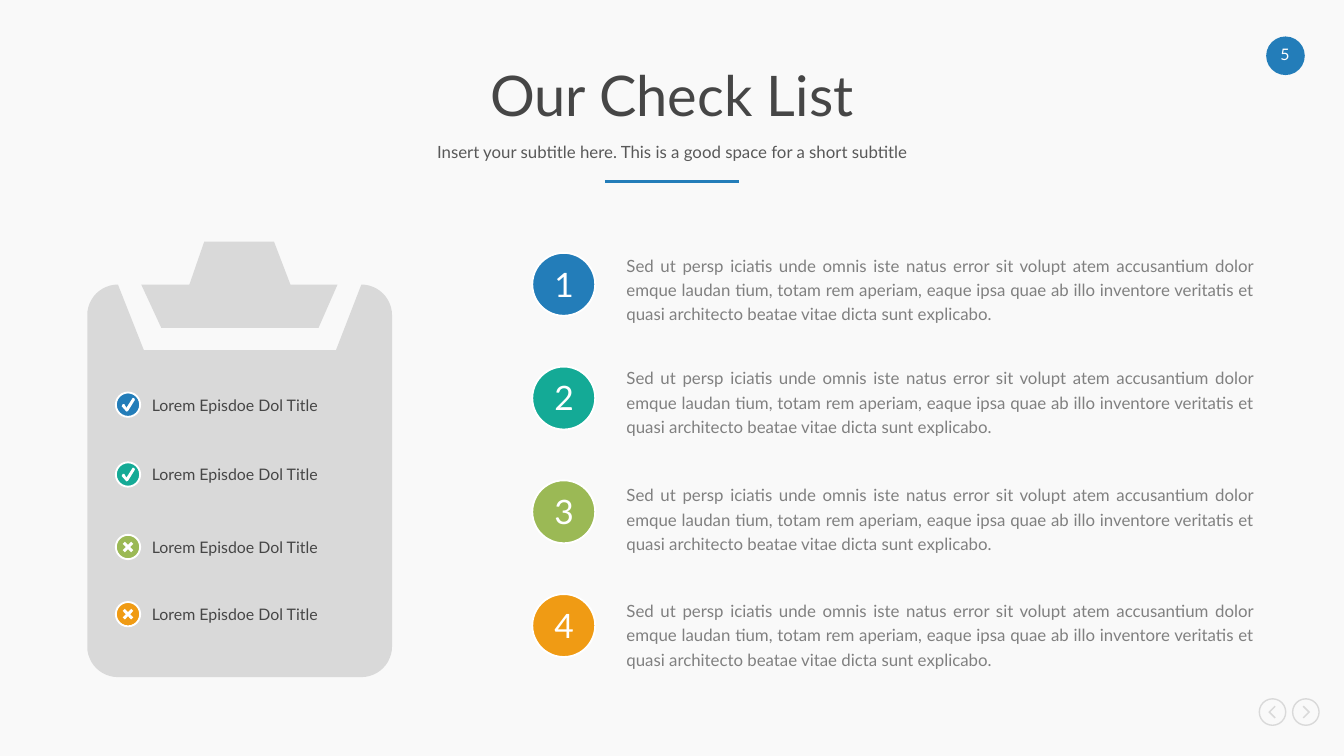
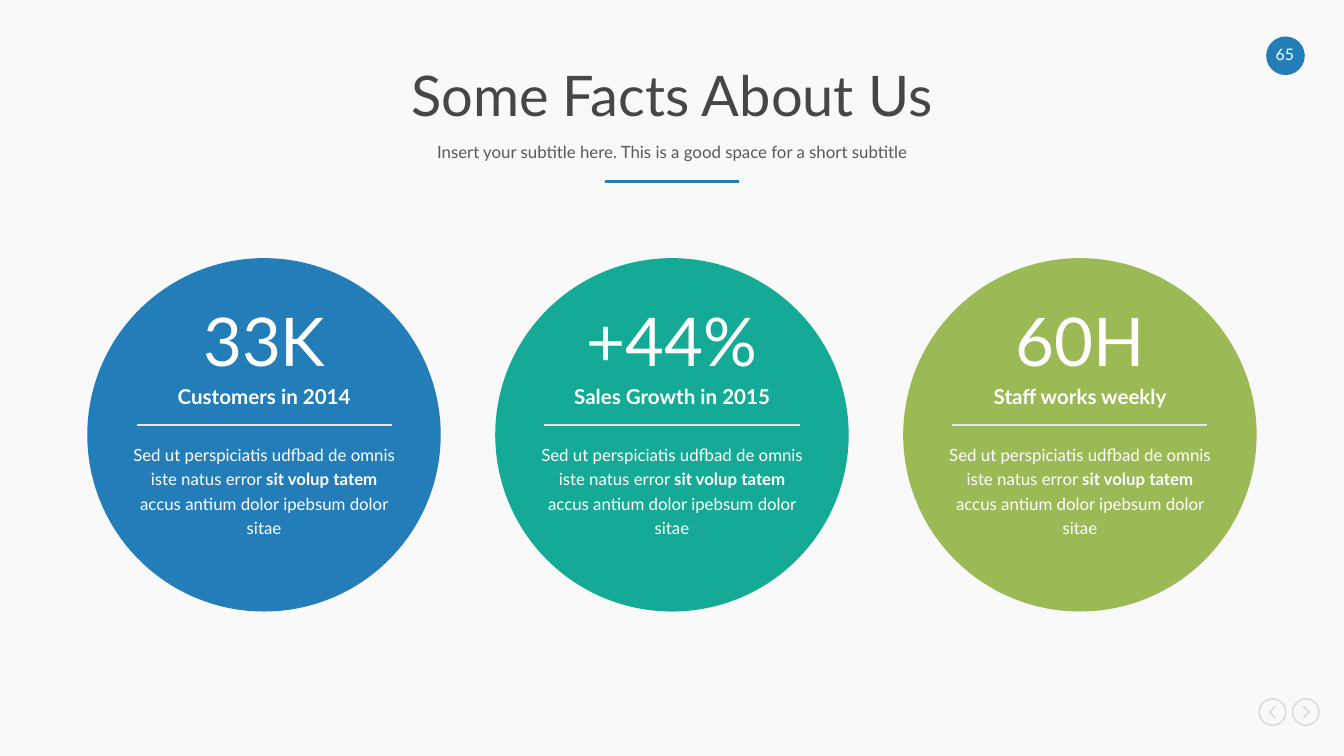
import math

import pptx
import pptx.dml.color
import pptx.enum.shapes
import pptx.enum.text
import pptx.oxml
import pptx.oxml.ns
import pptx.util

Cm, Pt = pptx.util.Cm, pptx.util.Pt
ALIGN = pptx.enum.text.PP_ALIGN

# Content: all lengths are in centimetres
SUBTITLE = "Insert your subtitle here. This is a good space for a short subtitle"
BLUE, TEAL, GREEN, ORANGE = "237DB9", "14AA96", "9BB955", "F09B14"
WHITE, PAPER, GREY, PALE = "FFFFFF", "F9F9F9", "D9D9D9", "E6E6E6"
TITLE_INK, SUBTITLE_INK, BODY_INK = "464646", "595959", "808080"
FONT = "Lato"

STEP_TEXT = (
    "Sed ut persp iciatis unde omnis iste natus error sit volupt atem "
    "accusantium dolor emque laudan tium, totam rem aperiam, eaque ipsa quae "
    "ab illo inventore veritatis et quasi architecto beatae vitae dicta sunt "
    "explicabo."
)
STEPS = [  # number, colour, top of text
    ("1", BLUE, 4.75),
    ("2", TEAL, 6.88),
    ("3", GREEN, 9.09),
    ("4", ORANGE, 11.28),
]
CHECKS = [  # label, colour, done, top of label
    ("Lorem Episdoe Dol Title", BLUE, True, 7.47),
    ("Lorem Episdoe Dol Title", TEAL, True, 8.79),
    ("Lorem Episdoe Dol Title", GREEN, False, 10.16),
    ("Lorem Episdoe Dol Title", ORANGE, False, 11.43),
]
FACTS = [
    ("33K", "Customers in 2014", BLUE),
    ("+44%", "Sales Growth in 2015", TEAL),
    ("60H", "Staff works weekly", GREEN),
]
FACT_TEXT = [  # text, bold
    ("Sed ut perspiciatis udfbad de omnis iste natus error ", False),
    ("sit volup tatem ", True),
    ("accus antium dolor ipebsum dolor sitae", False),
]

# Outlines around their own centre
CHEVRON = [(-0.08, 0), (0.04, -0.12), (0.06, -0.1), (-0.04, 0), (0.06, 0.1), (0.04, 0.12)]
TICK = [(-0.03, 0.13), (-0.12, 0.03), (-0.1, -0.01), (-0.07, -0.01),
        (-0.03, 0.06), (0.09, -0.13), (0.12, -0.12), (0.13, -0.09), (0, 0.12)]
CROSS_ARM = [(0.04, 0), (0.1, 0.06), (0.06, 0.1)]
CROSS = [(x * c - y * s, x * s + y * c)
         for c, s in [(1, 0), (0, 1), (-1, 0), (0, -1)] for x, y in CROSS_ARM]


def color(value):
    return pptx.dml.color.RGBColor.from_string(value)


def paint(shape, fill=None, line=None, width=1):
    shape.shadow.inherit = False
    if fill:
        shape.fill.solid()
        shape.fill.fore_color.rgb = color(fill)
    else:
        shape.fill.background()
    if line:
        shape.line.color.rgb = color(line)
        shape.line.width = Pt(width)
    else:
        shape.line.fill.background()


def circle(slide, left, top, size, **style):
    shape = slide.shapes.add_shape(
        pptx.enum.shapes.MSO_SHAPE.OVAL, Cm(left), Cm(top), Cm(size), Cm(size))
    paint(shape, **style)


def outline(slide, contours, fill, center=(0, 0)):
    contours = [[(Cm(center[0] + x), Cm(center[1] + y)) for x, y in points]
                for points in contours]
    builder = slide.shapes.build_freeform(*contours[0][0])
    builder.add_line_segments(contours[0][1:], close=True)
    for points in contours[1:]:
        builder.move_to(*points[0])
        builder.add_line_segments(points[1:], close=True)
    paint(builder.convert_to_shape(), fill)


def rule(slide, left, right, y, ink, width):
    line = slide.shapes.add_connector(
        pptx.enum.shapes.MSO_CONNECTOR.STRAIGHT, Cm(left), Cm(y), Cm(right), Cm(y))
    line.line.color.rgb = color(ink)
    line.line.width = Pt(width)
    properties = line._element.spPr
    properties.append(pptx.oxml.parse_xml(
        "<a:effectLst %s/>" % pptx.oxml.ns.nsdecls("a")))


def text(slide, box, content, size, ink, align=ALIGN.CENTER, spacing=None,
         after=None, bold=None, middle=False):
    """Content is a string, or a list of (text, bold) runs."""
    frame = slide.shapes.add_textbox(*map(Cm, box)).text_frame
    frame.word_wrap = True
    frame.margin_left = frame.margin_right = frame.margin_top = frame.margin_bottom = 0
    if middle:
        frame.vertical_anchor = pptx.enum.text.MSO_ANCHOR.MIDDLE
    paragraph = frame.paragraphs[0]
    paragraph.alignment = align
    if spacing:
        paragraph.line_spacing = spacing
    if after:
        paragraph.space_after = after
    font = paragraph.font
    font.name, font.size, font.bold = FONT, Pt(size), bold
    font.color.rgb = color(ink)
    if isinstance(content, str):
        paragraph.add_run().text = content
    else:
        for words, strong in content:
            run = paragraph.add_run()
            run.text, run.font.bold = words, strong


def base_slide(prs, title, number):
    slide = prs.slides.add_slide(prs.slide_layouts[6])
    slide.background.fill.solid()
    slide.background.fill.fore_color.rgb = color(PAPER)
    rule(slide, 11.43, 13.97, 3.43, BLUE, 1.5)
    # Page number
    circle(slide, 23.93, 0.69, 0.73, fill=BLUE)
    text(slide, (23.98, 0.84, 0.61, 0.36), number, 8.5, WHITE)
    # Back and forward buttons
    for x, direction in [(24.05, 1), (24.68, -1)]:
        outline(slide, [[(direction * dx, dy) for dx, dy in CHEVRON]], GREY, (x, 13.46))
        circle(slide, x - 0.25, 13.21, 0.5, line=GREY, width=0.75)
    # Heading
    text(slide, (1.65, 1.22, 22.1, 1.27), title, 30, TITLE_INK, spacing=0.9, middle=True)
    text(slide, (1.65, 2.57, 22.1, 0.64), SUBTITLE, 9, SUBTITLE_INK, spacing=0.9, middle=True)
    return slide


def corner(x, y, radius, start):
    """Quarter circle around x, y, turning anticlockwise on the slide."""
    angles = [math.radians(start - 90 * i / 12) for i in range(13)]
    return [(x + radius * math.cos(a), y + radius * math.sin(a)) for a in angles]


def clipboard(slide):
    left, top, right, bottom, radius = 1.65, 5.38, 7.41, 12.8, 0.58
    clip = [(6.02, 6.2), (6.38, top), (5.49, top), (5.18, 4.57),
            (3.86, 4.57), (3.58, top), (2.67, top), (3.05, 6.2)]
    board = [(6.35, 6.62), (2.72, 6.62)]
    for x, y, start in [(left + radius, top + radius, 270),
                        (left + radius, bottom - radius, 180),
                        (right - radius, bottom - radius, 90),
                        (right - radius, top + radius, 0)]:
        board += corner(x, y, radius, start)
    outline(slide, [clip, board], GREY)


def check_list(prs):
    slide = base_slide(prs, "Our Check List", "5")
    # Numbered steps
    for i, (number, fill, top) in enumerate(STEPS):
        badge_top = 4.78 + 2.15 * i
        circle(slide, 10.06, badge_top, 1.19, fill=fill, line=WHITE)
        text(slide, (11.84, top, 11.84, 1.4), STEP_TEXT, 9, BODY_INK,
             ALIGN.JUSTIFY, Pt(13), Pt(12))
        text(slide, (10.19, badge_top + 0.2, 0.94, 0.71), number, 18, WHITE)
    # Clipboard with its checks
    clipboard(slide)
    for label, fill, done, top in CHECKS:
        text(slide, (2.87, top, 4.06, 0.48), label, 8.5, TITLE_INK, ALIGN.LEFT)
        circle(slide, 2.19, top - 0.05, 0.46, fill=fill, line=WHITE)
        outline(slide, [TICK if done else CROSS], WHITE, (2.42, top + 0.18))


def facts(prs):
    slide = base_slide(prs, "Some Facts About Us", "65")
    for i, (figure, label, fill) in enumerate(FACTS):
        left = 1.65 + 7.71 * i
        circle(slide, left, 4.88, 6.68, fill=fill)
        text(slide, (left + 0.69, 5.66, 5.31, 1.55), figure, 36, WHITE, after=Pt(12))
        text(slide, (left + 0.69, 7.26, 5.31, 0.46), label, 11, WHITE,
             spacing=Pt(13), bold=True)
        text(slide, (left + 0.85, 8.33, 4.98, 1.85), FACT_TEXT, 9, WHITE,
             spacing=Pt(13), after=Pt(12))
        rule(slide, left + 0.93, left + 5.75, 8.03, PALE, 1)


def main():
    prs = pptx.Presentation()
    prs.slide_width, prs.slide_height = Cm(25.4), Cm(14.29)
    check_list(prs)
    facts(prs)
    prs.save("out.pptx")


if __name__ == "__main__":
    main()
